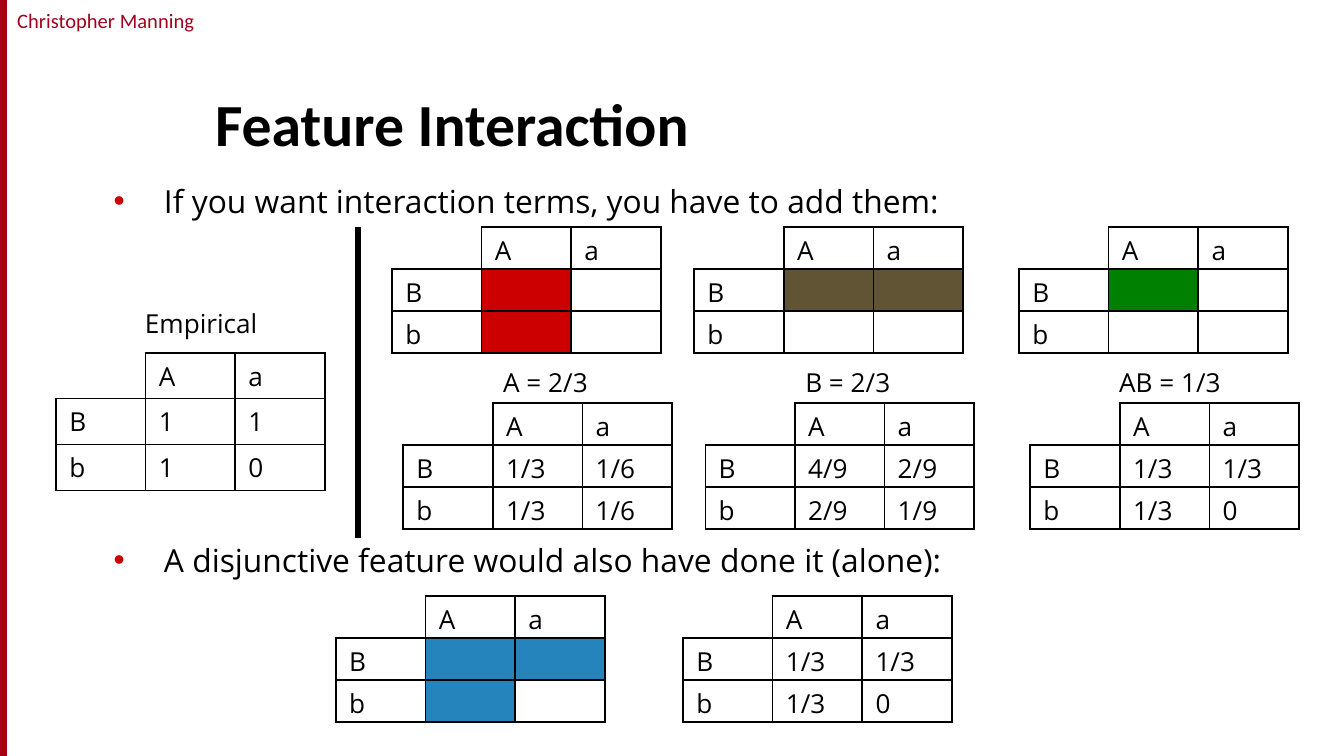
from collections import namedtuple

from lxml.etree import SubElement
from pptx import Presentation
from pptx.dml.color import RGBColor
from pptx.enum.shapes import MSO_CONNECTOR as Connector, MSO_SHAPE as Shape
from pptx.enum.text import MSO_ANCHOR as Anchor, PP_ALIGN as Align
from pptx.oxml.ns import qn
from pptx.util import Cm, Pt

COLOURS = {
    "text": "000000", "author": "A4001D", "bar": "A40508", "bullet": "CC0000",
    "red": "CC0000", "brown": "605435", "green": "008000", "blue": "2584BB",
}
BODY_FONT, HEAD_FONT = "Open Sans", "Calibri"
Box = namedtuple("Box", "left top width height")  # centimetres

GRID_WIDTH, GRID_HEIGHT = 5.08, 2.38
MASK_TOP, LABEL_TOP, FIT_TOP, DISJUNCTION_TOP = 4.29, 6.83, 7.62, 11.27
FIT_SHIFT = 0.21
DISJUNCTION_FIT = [["1/3", "1/3"], ["1/3", "0"]]

# left, label indent, label, colour, shaded cells, fitted values
FEATURES = [
    (7.41, 1.9, "A = 2/3", "red", [(1, 1), (2, 1)],
     [["1/3", "1/6"], ["1/3", "1/6"]]),
    (13.12, 1.9, "B = 2/3", "brown", [(1, 1), (1, 2)],
     [["4/9", "2/9"], ["2/9", "1/9"]]),
    (19.26, 1.69, "AB = 1/3", "green", [(1, 1)], DISJUNCTION_FIT),
]


def rgb(name):
    return RGBColor.from_string(COLOURS[name])


def place(shape, box):
    shape.left, shape.top, shape.width, shape.height = map(Cm, box)


def style(para, size, font=BODY_FONT, colour="text", bold=False):
    for span in para.runs:
        span.font.size = Pt(size)
        span.font.name = font
        span.font.bold = bold
        span.font.color.rgb = rgb(colour)


def add_text(slide, box, text, size, inset=(0.2, 0.1), **look):
    """Add a wrapped text box; inset is (horizontal, vertical) in cm."""
    frame = slide.shapes.add_textbox(*map(Cm, box)).text_frame
    frame.word_wrap = True
    frame.margin_left = frame.margin_right = Cm(inset[0])
    frame.margin_top = frame.margin_bottom = Cm(inset[1])
    frame.text = text
    for para in frame.paragraphs:
        style(para, size, **look)
    return frame


def add_border(cell, sides, hidden=""):
    props = cell._tc.get_or_add_tcPr()
    for side in sides:
        line = SubElement(props, qn(f"a:ln{side}"), w=str(Pt(1)))
        if side in hidden:
            SubElement(line, qn("a:noFill"))
        else:
            fill = SubElement(line, qn("a:solidFill"))
            SubElement(fill, qn("a:srgbClr"), val=COLOURS["text"])


def add_grid(slide, box, values=None, shaded=(), colour=None):
    """Add an A/a by B/b table holding values or shaded cells."""
    first, second = values or [["", ""], ["", ""]]
    rows = [["", "A", "a"], ["B", *first], ["b", *second]]
    table = slide.shapes.add_table(3, 3, *map(Cm, box)).table
    table.first_row = table.horz_banding = False
    for column in table.columns:
        column.width = Cm(box.width / 3)
    for r, row in enumerate(rows):
        table.rows[r].height = Cm(box.height / 3)
        for c, text in enumerate(row):
            cell = table.cell(r, c)
            cell.margin_left = cell.margin_right = Cm(0.25)
            cell.margin_top, cell.margin_bottom = Cm(0.1), 0
            add_border(cell, "LRTB", hidden="LT" if r == c == 0 else "")
            if (r, c) in shaded:
                cell.fill.solid()
                cell.fill.fore_color.rgb = rgb(colour)
            else:
                cell.fill.background()
            para = cell.text_frame.paragraphs[0]
            if text:
                para.text = text
                style(para, 14)
            else:
                SubElement(para._p, qn("a:endParaRPr"), sz="1400")


def add_frame(slide, box):
    """Add the author line and the coloured bar on the left edge."""
    author = add_text(slide, Box(box.left + 0.2, box.top + 0.03, 3.6, 0.74),
                      "Christopher Manning", 11, (0, 0.13),
                      font=HEAD_FONT, colour="author")
    author.paragraphs[0].alignment = Align.CENTER
    bar = slide.shapes.add_shape(
        Shape.RECTANGLE, Cm(box.left), Cm(box.top), Cm(0.12), Cm(box.height))
    bar.shadow.inherit = False
    bar.fill.solid()
    bar.fill.fore_color.rgb = rgb("bar")
    bar.line.color.rgb = rgb("author")
    bar.line.width = Pt(0.75)


def add_title(slide, box):
    title = slide.shapes.title
    place(title, box)
    frame = title.text_frame
    frame.text = "Feature Interaction"
    frame.vertical_anchor = Anchor.BOTTOM
    frame.paragraphs[0].alignment = Align.LEFT
    style(frame.paragraphs[0], 32, HEAD_FONT, bold=True)


def add_bullets(slide, box):
    frame = add_text(
        slide, box,
        "If you want interaction terms, you have to add them:\n"
        "A disjunctive feature would also have done it (alone):",
        17, (0.25, 0.1))
    frame.paragraphs[1].space_before = Pt(172)
    for para in frame.paragraphs:
        props = para._p.get_or_add_pPr()
        props.set("marL", str(Cm(0.95)))
        props.set("indent", str(Cm(-0.95)))
        colour = SubElement(props, qn("a:buClr"))
        SubElement(colour, qn("a:srgbClr"), val=COLOURS["bullet"])
        SubElement(props, qn("a:buFont"), typeface="Arial")
        SubElement(props, qn("a:buChar"), char="•")


def add_empirical(slide, box):
    add_grid(slide, box, [["1", "1"], ["1", "0"]])
    add_text(slide, Box(box.left + 1.48, box.top - 0.95, 4.02, 0.8),
             "Empirical", 14)


def add_divider(slide, box):
    line = slide.shapes.add_connector(
        Connector.STRAIGHT, Cm(box.left), Cm(box.top),
        Cm(box.left), Cm(box.top + box.height))
    line.line.color.rgb = rgb("text")
    line.line.width = Pt(3)
    SubElement(line._element.spPr, qn("a:effectLst"))


def add_feature(slide, box, indent, label, colour, shaded, values):
    """Add a feature's shaded grid, its label and the fitted grid below."""
    add_grid(slide, box, shaded=shaded, colour=colour)
    add_text(slide, Box(box.left + indent, LABEL_TOP, box.width - indent, 0.8),
             label, 14)
    add_grid(slide, box._replace(left=box.left + FIT_SHIFT, top=FIT_TOP), values)


def add_disjunction(slide, box):
    add_grid(slide, box, shaded=[(1, 1), (1, 2), (2, 1)], colour="blue")
    add_grid(slide, box._replace(left=box.left + 6.56), DISJUNCTION_FIT)


def main():
    deck = Presentation()
    page = Box(0, 0, 25.4, 14.29)
    deck.slide_width, deck.slide_height = Cm(page.width), Cm(page.height)
    slide = deck.slides.add_slide(deck.slide_layouts[5])
    add_frame(slide, page)
    add_title(slide, Box(3.81, 1.06, 20.75, 2.06))
    add_bullets(slide, Box(1.9, 3.33, 21.6, 10.46))
    add_empirical(slide, Box(1.06, 6.67, GRID_WIDTH, 2.6))
    add_divider(slide, Box(6.77, MASK_TOP, 0, 5.87))
    for left, *feature in FEATURES:
        add_feature(slide, Box(left, MASK_TOP, GRID_WIDTH, GRID_HEIGHT), *feature)
    add_disjunction(slide, Box(6.35, DISJUNCTION_TOP, GRID_WIDTH, GRID_HEIGHT))
    deck.save("out.pptx")


if __name__ == "__main__":
    main()
